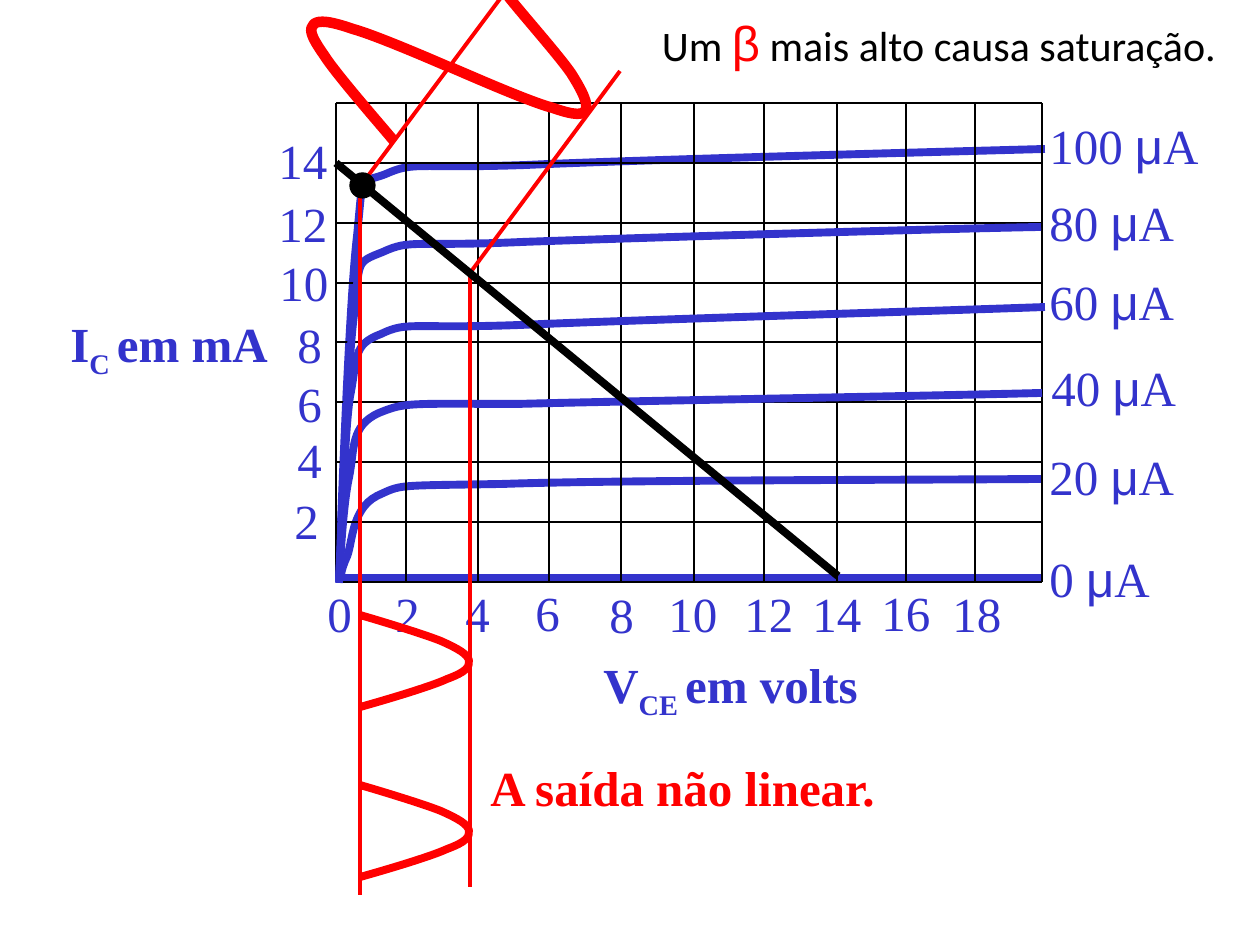
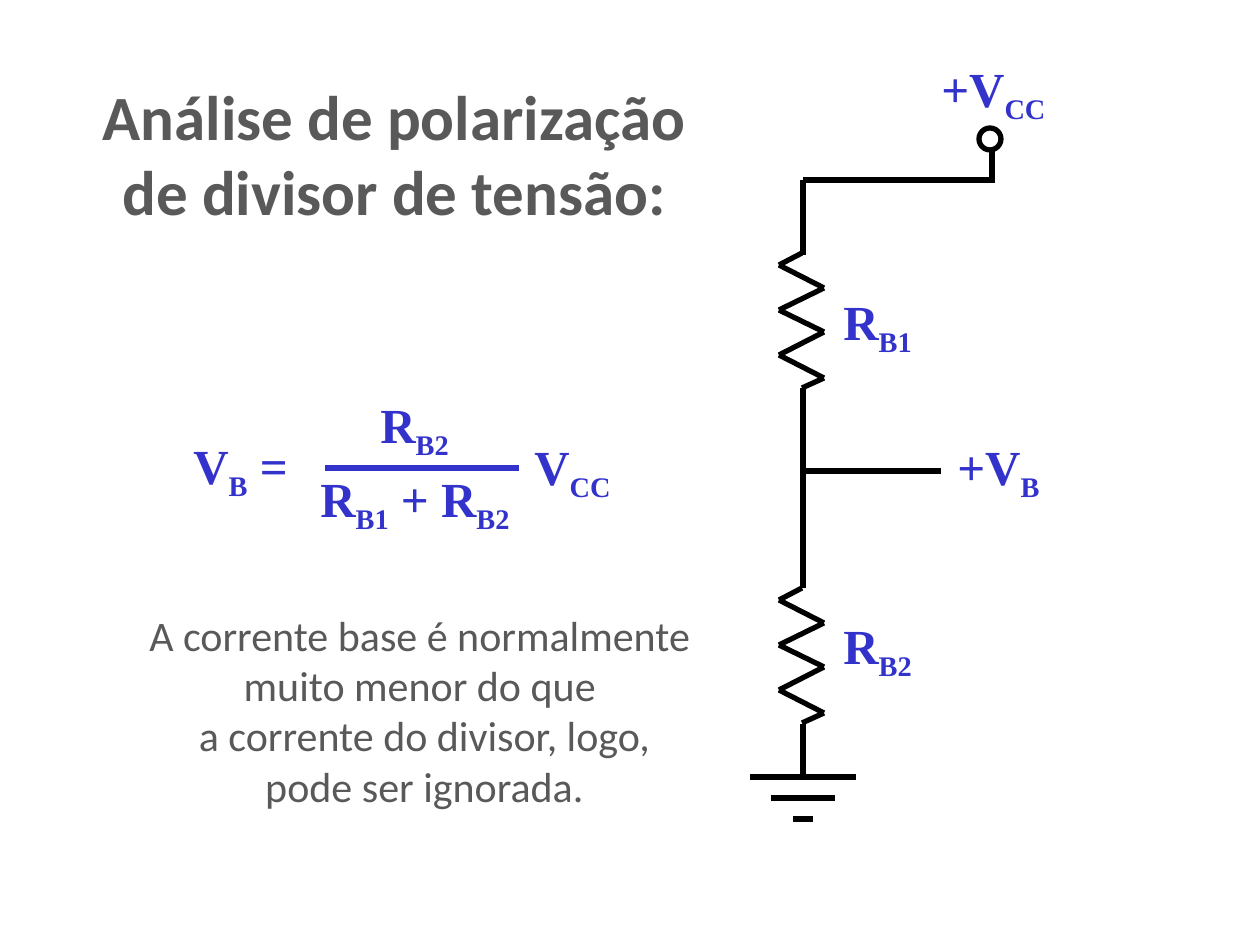
"""Two slides on transistor biasing: saturated output curves and the voltage divider."""
from dataclasses import dataclass
from itertools import pairwise
from typing import NamedTuple, Optional, Sequence, Union

from lxml.etree import SubElement
from pptx import Presentation
from pptx.dml.color import RGBColor
from pptx.enum.shapes import MSO_CONNECTOR, MSO_SHAPE
from pptx.enum.text import MSO_AUTO_SIZE, PP_ALIGN
from pptx.oxml.ns import qn
from pptx.slide import Slide
from pptx.util import Emu, Inches, Pt

PX_PER_INCH = 126
SCALE = Inches(1) / PX_PER_INCH

BLUE = RGBColor(0x33, 0x33, 0xCC)
RED = RGBColor(0xFF, 0x00, 0x00)
BLACK = RGBColor(0x00, 0x00, 0x00)
GRAY = RGBColor(0x59, 0x59, 0x59)

SERIF = "Times New Roman"
SANS = "Calibri"
GREEK = "Arial"
LABEL_HEIGHT = 66
THIN, GUIDE, WIRE, CURVE, INPUT = 0.75, 2.25, 3, 4.5, 6


class Point(NamedTuple):
    x: int
    y: int


class Box(NamedTuple):
    left: int
    top: int
    width: int
    height: int = LABEL_HEIGHT


class Label(NamedTuple):
    text: str
    box: Box


class Line(NamedTuple):
    start: Point
    end: Point
    color: RGBColor = BLACK
    weight: float = WIRE


class Run(NamedTuple):
    text: str
    font: Optional[str] = None
    size: Optional[int] = None
    color: Optional[RGBColor] = None
    subscript: bool = False


@dataclass(frozen=True)
class BaseCurrent:
    microamps: int
    label: Box
    knots: Sequence[tuple[int, int]]


V_LINES = (336, 406, 478, 549, 621, 694, 764, 837, 906, 975, 1042)
GRID_TOP, GRID_STEP, GRID_ROWS = 103, 59.85, 9
GRID_BOTTOM = round(GRID_TOP + GRID_STEP * (GRID_ROWS - 1))

VOLT_CORNERS = ((315, 577), (383, 577), (453, 577), (523, 576), (597, 578),
                (656, 577), (732, 577), (800, 577), (869, 576), (940, 577))
CURRENT_CORNERS = ((282, 484), (285, 423), (285, 367), (285, 308),
                   (267, 246), (266, 187), (266, 124))

ZERO_LABEL = Box(1037, 542, 126)
BASE_CURRENTS = (
    BaseCurrent(20, Box(1037, 440, 150), (
        (341, 581), (341, 577), (340, 573), (346, 559), (353, 546), (350, 510), (377, 496),
        (403, 484), (393, 486), (504, 484), (615, 480), (930, 480), (1042, 479))),
    BaseCurrent(100, Box(1037, 109, 175), (
        (339, 578), (341, 522), (349, 305), (357, 237), (364, 169), (358, 185), (386, 174),
        (415, 161), (417, 169), (527, 165), (636, 160), (936, 152), (1045, 149))),
    BaseCurrent(80, Box(1037, 186, 150), (
        (339, 581), (341, 536), (347, 369), (354, 315), (360, 260), (355, 263), (383, 252),
        (411, 239), (413, 247), (523, 242), (633, 238), (934, 229), (1041, 227))),
    BaseCurrent(60, Box(1037, 265, 150), (
        (339, 581), (341, 551), (344, 438), (350, 397), (358, 357), (352, 345), (381, 334),
        (408, 321), (410, 329), (520, 325), (631, 320), (935, 311), (1045, 307))),
    BaseCurrent(40, Box(1039, 351, 150), (
        (339, 583), (340, 566), (343, 505), (349, 478), (355, 449), (350, 426), (379, 413),
        (406, 402), (408, 404), (519, 404), (630, 401), (934, 396), (1042, 393))),
)
CURVES_UNDER_GRID = 2

INPUT_WAVE = (
    ((449, 67), (433, 60), (375, 35), (353, 29), (330, 21), (319, 20), (314, 24),
     (309, 29), (310, 35), (324, 55), (336, 74), (379, 123), (394, 141)),
    ((505, -8), (515, 6), (557, 53), (571, 73), (583, 92), (588, 103), (586, 110),
     (583, 115), (576, 116), (553, 108), (530, 102), (471, 76), (450, 67)),
)
OUTPUT_PULSE = ((360, 615), (374, 619), (424, 634), (441, 641), (459, 649), (467, 654),
                (469, 660), (470, 667), (466, 672), (447, 679), (430, 687), (378, 702),
                (360, 707))
OUTPUT_PERIOD = 170

INPUT_GUIDE = Line(Point(359, 188), Point(517, -24), RED, GUIDE)
OUTPUT_GUIDES = (Line(Point(360, 189), Point(360, 895), RED, GUIDE),
                 Line(Point(470, 275), Point(470, 887), RED, GUIDE))
PEAK_GUIDE = Line(Point(470, 273), Point(620, 71), RED, GUIDE)
LOAD_LINE = Line(Point(336, 163), Point(838, 576), BLACK, CURVE)

TRUNK_X = 803
RESISTOR_TOPS = (253, 588)
ZIGZAG = ((-1, 0), (-24, 12), (21, 35), (-24, 57), (21, 79), (-24, 102), (21, 125), (-1, 135))
GROUND_BARS = ((53, 777), (32, 798), (10, 819))
DIVIDER_WIRES = (
    Line(Point(941, 471), Point(TRUNK_X, 471)),
    Line(Point(TRUNK_X, 588), Point(TRUNK_X, 388)),
    Line(Point(TRUNK_X, 724), Point(TRUNK_X, 777)),
    Line(Point(992, 183), Point(992, 151)),
    Line(Point(992, 180), Point(TRUNK_X, 180)),
    Line(Point(TRUNK_X, 255), Point(TRUNK_X, 180)),
)
FRACTION_BAR = Line(Point(325, 468), Point(519, 468), BLUE)
DIVIDER_SYMBOLS = (
    Label("+V|CC", Box(929, 52, 136)),
    Label("R|B1", Box(831, 285, 98)),
    Label("R|B2", Box(831, 609, 98)),
    Label("+V|B", Box(945, 430, 111)),
    Label("V|B| =", Box(181, 429, 122)),
    Label("R|B2", Box(368, 388, 98)),
    Label("R|B1| + R|B2", Box(308, 462, 224)),
    Label("V|CC", Box(522, 430, 108)),
)


def emu(px: float) -> Emu:
    """Turn a length in px into EMU."""
    return Emu(round(px * SCALE))


def add_text(slide: Slide, box: Box, text: Union[str, Sequence[Run]], *, font: str = SERIF,
             size: int = 28, color: RGBColor = BLUE, bold: bool = False,
             align: PP_ALIGN = PP_ALIGN.LEFT, wrap: bool = False) -> None:
    """Write lines of plain text, or one line of runs, in a text box."""
    frame = slide.shapes.add_textbox(*map(emu, box)).text_frame
    frame.word_wrap = wrap
    frame.auto_size = MSO_AUTO_SIZE.SHAPE_TO_FIT_TEXT
    lines = [[Run(line)] for line in text.split("\n")] if isinstance(text, str) else [text]
    for index, pieces in enumerate(lines):
        paragraph = frame.add_paragraph() if index else frame.paragraphs[0]
        paragraph.alignment = align
        for piece in pieces:
            run = paragraph.add_run()
            run.text = piece.text
            run.font.name = piece.font or font
            run.font.size = Pt(piece.size or size)
            run.font.color.rgb = piece.color or color
            run.font.bold = bold
            if piece.subscript:
                run._r.get_or_add_rPr().set("baseline", "-25000")


def add_symbol(slide: Slide, symbol: Label) -> None:
    """Write a bold symbol whose every second part, split at a bar, is a subscript."""
    parts = enumerate(symbol.text.split("|"))
    add_text(slide, symbol.box, [Run(part, subscript=i % 2 == 1) for i, part in parts],
             bold=True)


def add_line(slide: Slide, line: Line) -> None:
    """Draw a straight line without shadow."""
    connector = slide.shapes.add_connector(
        MSO_CONNECTOR.STRAIGHT, *map(emu, (*line.start, *line.end)))
    connector.line.color.rgb = line.color
    connector.line.width = Pt(line.weight)
    SubElement(connector._element.spPr, qn("a:effectLst"))


def add_curve(slide: Slide, knots: Sequence[tuple[int, int]], color: RGBColor,
              weight: float) -> None:
    """Draw a chain of cubic Bézier segments, three knots to each."""
    start, *rest = [(emu(x), emu(y)) for x, y in knots]
    builder = slide.shapes.build_freeform(*start, scale=1.0)
    builder.add_line_segments(rest, close=False)
    curve = builder.convert_to_shape()
    curve.shadow.inherit = False
    curve.fill.background()
    curve.line.color.rgb = color
    curve.line.width = Pt(weight)
    outline = next(curve._element.iter(qn("a:path")))
    straights = outline.findall(qn("a:lnTo"))
    for first in range(0, len(straights), 3):
        bezier = SubElement(outline, qn("a:cubicBezTo"))
        for straight in straights[first:first + 3]:
            bezier.append(straight[0])
            outline.remove(straight)


def add_circle(slide: Slide, left: int, top: int, size: int, weight: float,
               fill: Optional[RGBColor] = None) -> None:
    """Draw a black circle, filled or hollow."""
    circle = slide.shapes.add_shape(MSO_SHAPE.OVAL, *map(emu, (left, top, size, size)))
    circle.shadow.inherit = False
    circle.line.color.rgb = BLACK
    circle.line.width = Pt(weight)
    if fill is None:
        circle.fill.background()
    else:
        circle.fill.solid()
        circle.fill.fore_color.rgb = fill


def add_microamps(slide: Slide, value: int, box: Box) -> None:
    """Label a curve with its base current."""
    add_text(slide, box, [Run(f"{value} "), Run("μ", font=GREEK), Run("A")])


def add_axis_labels(slide: Slide) -> None:
    """Number and title both axes."""
    numbers = [*enumerate(VOLT_CORNERS), *enumerate(CURRENT_CORNERS, start=1)]
    for index, corner in numbers:
        value = 2 * index
        add_text(slide, Box(*corner, 49 if value < 10 else 74), str(value))
    add_symbol(slide, Label("V|CE |em volts", Box(591, 648, 290, 72)))
    add_symbol(slide, Label("I|C |em mA", Box(58, 307, 227)))


def add_grid(slide: Slide) -> None:
    """Rule the graph area."""
    for x in V_LINES:
        add_line(slide, Line(Point(x, GRID_TOP), Point(x, GRID_BOTTOM), weight=THIN))
    for row in range(GRID_ROWS):
        y = round(GRID_TOP + row * GRID_STEP)
        add_line(slide, Line(Point(V_LINES[0], y), Point(V_LINES[-1], y), weight=THIN))


def add_base_currents(slide: Slide, base_currents: Sequence[BaseCurrent]) -> None:
    """Draw collector curves with their labels."""
    for base_current in base_currents:
        add_curve(slide, base_current.knots, BLUE, CURVE)
        add_microamps(slide, base_current.microamps, base_current.label)


def build_saturation(slide: Slide) -> None:
    """Show the collector curves, the load line and the clipped output."""
    add_axis_labels(slide)
    add_line(slide, Line(Point(339, 578), Point(1042, 578), BLUE, CURVE))
    add_microamps(slide, 0, ZERO_LABEL)
    add_base_currents(slide, BASE_CURRENTS[:CURVES_UNDER_GRID])
    add_grid(slide)
    add_base_currents(slide, BASE_CURRENTS[CURVES_UNDER_GRID:])
    add_line(slide, INPUT_GUIDE)
    for half_wave in INPUT_WAVE:
        add_curve(slide, half_wave, RED, INPUT)
    for guide in OUTPUT_GUIDES:
        add_line(slide, guide)
    add_text(slide, Box(478, 751, 415, 72), "A saída não linear.", color=RED, bold=True)
    add_circle(slide, 350, 173, 25, THIN, BLACK)
    add_line(slide, PEAK_GUIDE)
    add_line(slide, LOAD_LINE)
    for shift in (0, OUTPUT_PERIOD):
        add_curve(slide, [(x, y + shift) for x, y in OUTPUT_PULSE], RED, CURVE)
    add_text(slide, Box(612, 6, 654, 72),
             [Run("Um "), Run("β", GREEK, 28, RED), Run(" mais alto causa saturação.")],
             font=SANS, size=24, color=BLACK, align=PP_ALIGN.CENTER, wrap=True)


def build_divider(slide: Slide) -> None:
    """Show the voltage divider circuit and its formula."""
    for wire in DIVIDER_WIRES + (FRACTION_BAR,):
        add_line(slide, wire)
    for top in RESISTOR_TOPS:
        bends = [Point(TRUNK_X + x, top + y) for x, y in ZIGZAG]
        for start, end in pairwise(bends):
            add_line(slide, Line(start, end))
    for half, y in GROUND_BARS:
        add_line(slide, Line(Point(TRUNK_X - half, y), Point(TRUNK_X + half, y)))
    add_circle(slide, 979, 128, 22, WIRE)
    for symbol in DIVIDER_SYMBOLS:
        add_symbol(slide, symbol)
    add_text(slide, Box(87, 71, 629, 165), "Análise de polarização \nde divisor de tensão: ",
             font=SANS, size=36, color=GRAY, bold=True, align=PP_ALIGN.CENTER)
    add_text(slide, Box(134, 603, 581, 224),
             "A corrente base é normalmente \nmuito menor do que \n"
             "a corrente do divisor, logo,\n pode ser ignorada. ",
             font=SANS, size=24, color=GRAY, align=PP_ALIGN.CENTER)


def main() -> None:
    """Build and save the presentation."""
    presentation = Presentation()
    presentation.slide_width, presentation.slide_height = emu(1260), emu(945)
    for build in (build_saturation, build_divider):
        build(presentation.slides.add_slide(presentation.slide_layouts[6]))
    presentation.save("out.pptx")


if __name__ == "__main__":
    main()
